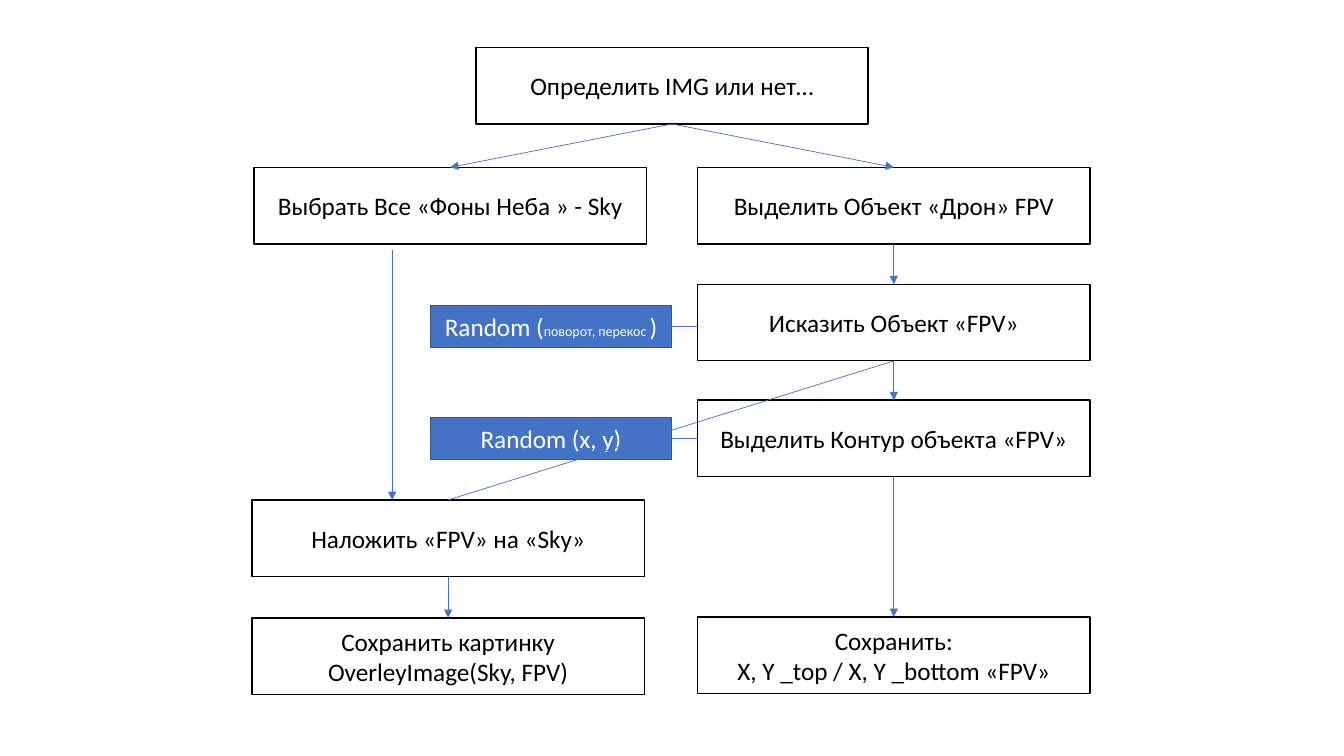
import pptx
import pptx.dml.color
import pptx.enum.shapes
import pptx.enum.text
import pptx.oxml
import pptx.oxml.ns
import pptx.util

Inches = pptx.util.Inches
Pt = pptx.util.Pt
TOP, LEFT, BOTTOM, RIGHT = range(4)


def colour(hex_value):
    return pptx.dml.color.RGBColor.from_string(hex_value)


class Flowchart:
    step = {"size": (3.89, 0.76), "fill": "FFFFFF", "line": "000000", "text": "000000"}
    random = {"size": (2.39, 0.42), "fill": "4472C4", "line": "325491", "text": "FFFFFF"}
    font = {"name": "Calibri", "size": Pt(18)}
    arrow_colour = "4472C4"

    def __init__(self, slide):
        self.slide = slide

    def box(self, left, top, paragraphs, style):
        width, height = style["size"]
        box = self.slide.shapes.add_shape(
            pptx.enum.shapes.MSO_SHAPE.RECTANGLE,
            Inches(left), Inches(top), Inches(width), Inches(height))
        box.shadow.inherit = False
        box.fill.solid()
        box.fill.fore_color.rgb = colour(style["fill"])
        box.line.color.rgb = colour(style["line"])
        box.line.width = Pt(1)
        frame = box.text_frame
        for name, value in {"word_wrap": True,
                            "vertical_anchor": pptx.enum.text.MSO_ANCHOR.MIDDLE}.items():
            setattr(frame, name, value)
        for index, runs in enumerate(paragraphs):
            paragraph = frame.add_paragraph() if index else frame.paragraphs[0]
            paragraph.alignment = pptx.enum.text.PP_ALIGN.CENTER
            for text, size in runs:
                run = paragraph.add_run()
                run.text = text
                for name, value in {**self.font, "size": Pt(size)}.items():
                    setattr(run.font, name, value)
                run.font.color.rgb = colour(style["text"])
        return box

    def step_box(self, left, top, *lines):
        return self.box(left, top, [[(line, 18)] for line in lines], self.step)

    def random_box(self, left, top, *runs):
        return self.box(left, top, [runs], self.random)

    def line(self, start, end, arrow=True):
        connector = self.slide.shapes.add_connector(
            pptx.enum.shapes.MSO_CONNECTOR.STRAIGHT,
            *(Inches(value) for value in (*start, *end)))
        connector.line.color.rgb = colour(self.arrow_colour)
        connector.line.width = Pt(0.5)
        properties = connector.line._get_or_add_ln()
        if arrow:
            tail = pptx.oxml.parse_xml(
                f'<a:tailEnd {pptx.oxml.ns.nsdecls("a")} type="triangle"/>')
            properties.append(tail)
        properties.addnext(pptx.oxml.parse_xml(
            f'<a:effectLst {pptx.oxml.ns.nsdecls("a")}/>'))
        return connector

    def link(self, source, source_side, target, target_side, arrow=True):
        connector = self.line((0, 0), (1, 1), arrow)
        connector.begin_connect(source, source_side)
        connector.end_connect(target, target_side)


def main():
    presentation = pptx.Presentation()
    presentation.slide_width = Inches(13.33)
    presentation.slide_height = Inches(7.5)
    chart = Flowchart(presentation.slides.add_slide(presentation.slide_layouts[6]))

    sky_left, drone_left, random_left = 2.5, 6.92, 4.27
    detect = chart.step_box(4.72, 0.47, "Определить IMG или нет…")
    select_sky = chart.step_box(2.52, 1.66, "Выбрать Все «Фоны Неба » - Sky")
    select_drone = chart.step_box(drone_left, 1.66, "Выделить Объект «Дрон» FPV")
    distort = chart.step_box(drone_left, 2.82, "Исказить Объект «FPV»")
    contour = chart.step_box(drone_left, 3.97, "Выделить Контур объекта «FPV»")
    overlay = chart.step_box(sky_left, 4.96, "Наложить «FPV» на «Sky»")
    save_image = chart.step_box(sky_left, 6.13, "Сохранить картинку", "OverleyImage(Sky, FPV)")
    save_corners = chart.step_box(
        drone_left, 6.12, "Сохранить:", "X, Y _top / X, Y _bottom «FPV»")
    chart.random_box(random_left, 3.03, ("Random (", 18), ("поворот, перекос ", 10), (")", 18))
    random_position = chart.random_box(random_left, 4.14, ("Random (x, y)", 18))

    for source, target in (
            (detect, select_sky), (detect, select_drone), (select_drone, distort),
            (distort, contour), (contour, save_corners), (overlay, save_image)):
        chart.link(source, BOTTOM, target, TOP)
    chart.link(distort, BOTTOM, overlay, TOP, arrow=False)
    chart.link(random_position, RIGHT, contour, LEFT, arrow=False)
    chart.line((6.66, 3.24), (drone_left, 3.24), arrow=False)
    chart.line((3.89, 2.48), (3.89, 4.96))

    presentation.save("out.pptx")


if __name__ == "__main__":
    main()
